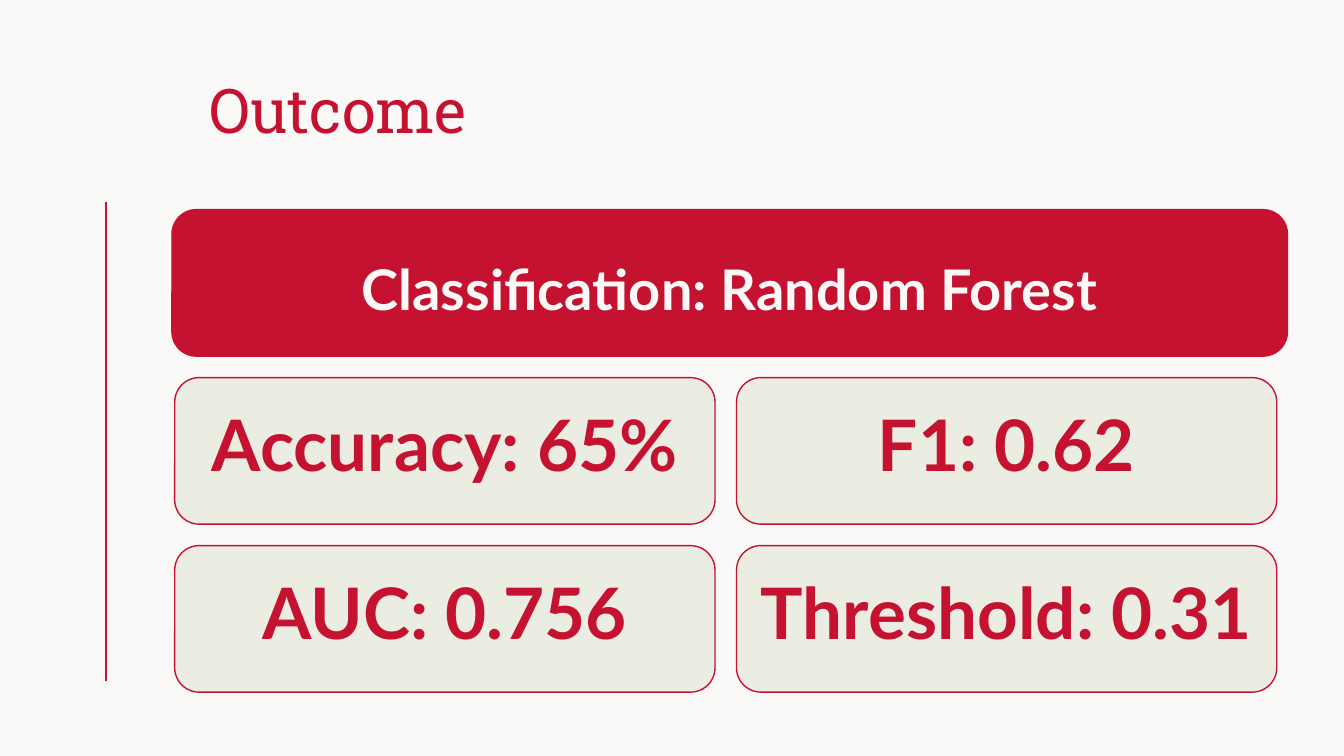
from dataclasses import dataclass

from lxml import etree
from pptx import Presentation
from pptx.dml.color import RGBColor
from pptx.enum import shapes, text
from pptx.oxml import ns
from pptx.util import Inches, Pt

TITLE = "Outcome"
MODEL = "Classification: Random Forest"
METRICS = [
    ["Accuracy: 65%", "F1: 0.62"],
    ["AUC: 0.756", "Threshold: 0.31"],
]


@dataclass(frozen=True)
class Theme:
    paper: RGBColor = RGBColor.from_string("FAF9F7")
    red: RGBColor = RGBColor.from_string("C41230")
    sage: RGBColor = RGBColor.from_string("ECEDE2")
    heading_font: str = "Roboto Slab"
    body_font: str = "Lato"
    title_size: int = 33
    model_size: int = 30
    metric_size: int = 38
    line_width: float = 0.75


THEME = Theme()
PAGE_WIDTH = Inches(10)
PAGE_HEIGHT = PAGE_WIDTH * 9 // 16
CARD_WIDTH, CARD_HEIGHT = 4.02, 1.09
GRID_LEFT, GRID_TOP = 1.3, 2.81
COLUMN_STEP, ROW_STEP = 4.18, 1.25


def set_margins(frame, horizontal, vertical):
    frame.margin_left = frame.margin_right = Inches(horizontal)
    frame.margin_top = frame.margin_bottom = Inches(vertical)


def style_font(para, name, size, color, bold=False):
    para.font.name = name
    para.font.size = Pt(size)
    para.font.color.rgb = color
    para.font.bold = bold


def add_title(page):
    title = page.shapes.title
    title.left, title.top = Inches(1.49), Inches(0.3)
    title.width, title.height = Inches(7.83), Inches(1.09)
    frame = title.text_frame
    frame.text = TITLE
    frame.vertical_anchor = text.MSO_ANCHOR.MIDDLE
    frame.auto_size = text.MSO_AUTO_SIZE.NONE
    set_margins(frame, 0.07, 0.04)
    para = frame.paragraphs[0]
    para.alignment = text.PP_ALIGN.LEFT
    para.line_spacing = 0.9
    style_font(para, THEME.heading_font, THEME.title_size, THEME.red)


def add_side_rule(page):
    rule = page.shapes.add_connector(
        shapes.MSO_CONNECTOR.STRAIGHT,
        Inches(0.79), Inches(1.5), Inches(0.79), Inches(5.07))
    rule.line.color.rgb = THEME.red
    rule.line.width = Pt(THEME.line_width)
    etree.SubElement(rule._element.spPr, ns.qn("a:effectLst"))


def add_card(page, words, left, top, width, fill, ink, size, spacing):
    card = page.shapes.add_shape(
        shapes.MSO_SHAPE.ROUNDED_RECTANGLE,
        Inches(left), Inches(top), Inches(width), Inches(CARD_HEIGHT))
    card.shadow.inherit = False
    card.fill.solid()
    card.fill.fore_color.rgb = fill
    card.line.color.rgb = THEME.red
    card.line.width = Pt(THEME.line_width)
    frame = card.text_frame
    frame.text = words
    frame.word_wrap = True
    frame.vertical_anchor = text.MSO_ANCHOR.MIDDLE
    set_margins(frame, 0.1, 0.1)
    para = frame.paragraphs[0]
    para.alignment = text.PP_ALIGN.CENTER
    para.line_spacing = spacing
    para.space_before = Pt(8)
    style_font(para, THEME.body_font, size, ink, bold=True)


def main():
    deck = Presentation()
    deck.slide_width, deck.slide_height = PAGE_WIDTH, PAGE_HEIGHT
    page = deck.slides.add_slide(deck.slide_layouts.get_by_name("Title Only"))
    page.background.fill.solid()
    page.background.fill.fore_color.rgb = THEME.paper

    add_side_rule(page)
    add_title(page)
    add_card(page, MODEL, 1.28, 1.56, 8.3,
             THEME.red, THEME.paper, THEME.model_size, 1.15)
    for row, metrics in enumerate(METRICS):
        for column, metric in enumerate(metrics):
            add_card(page, metric,
                     GRID_LEFT + column * COLUMN_STEP,
                     GRID_TOP + row * ROW_STEP, CARD_WIDTH,
                     THEME.sage, THEME.red, THEME.metric_size, 0.8)

    deck.save("out.pptx")


if __name__ == "__main__":
    main()
